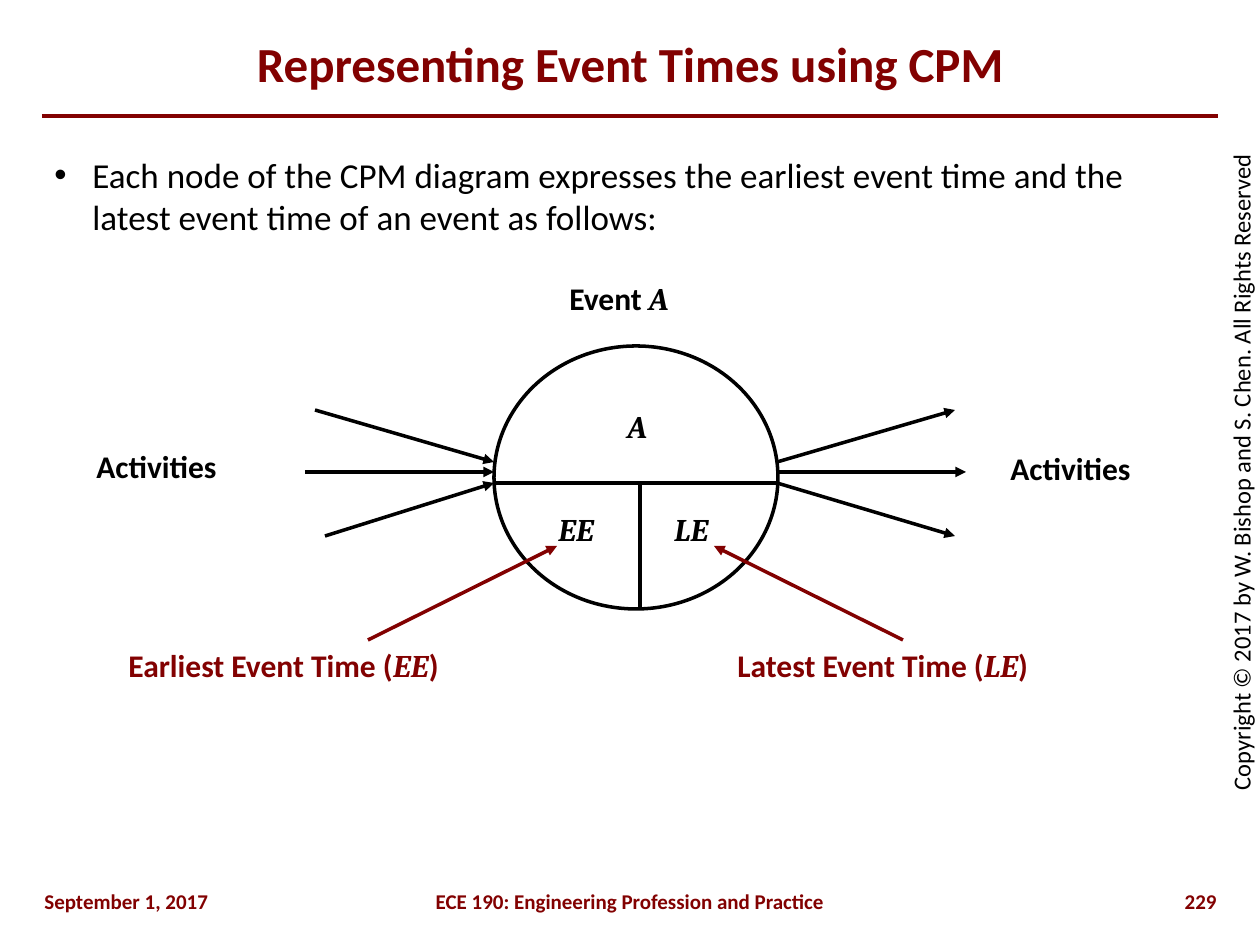
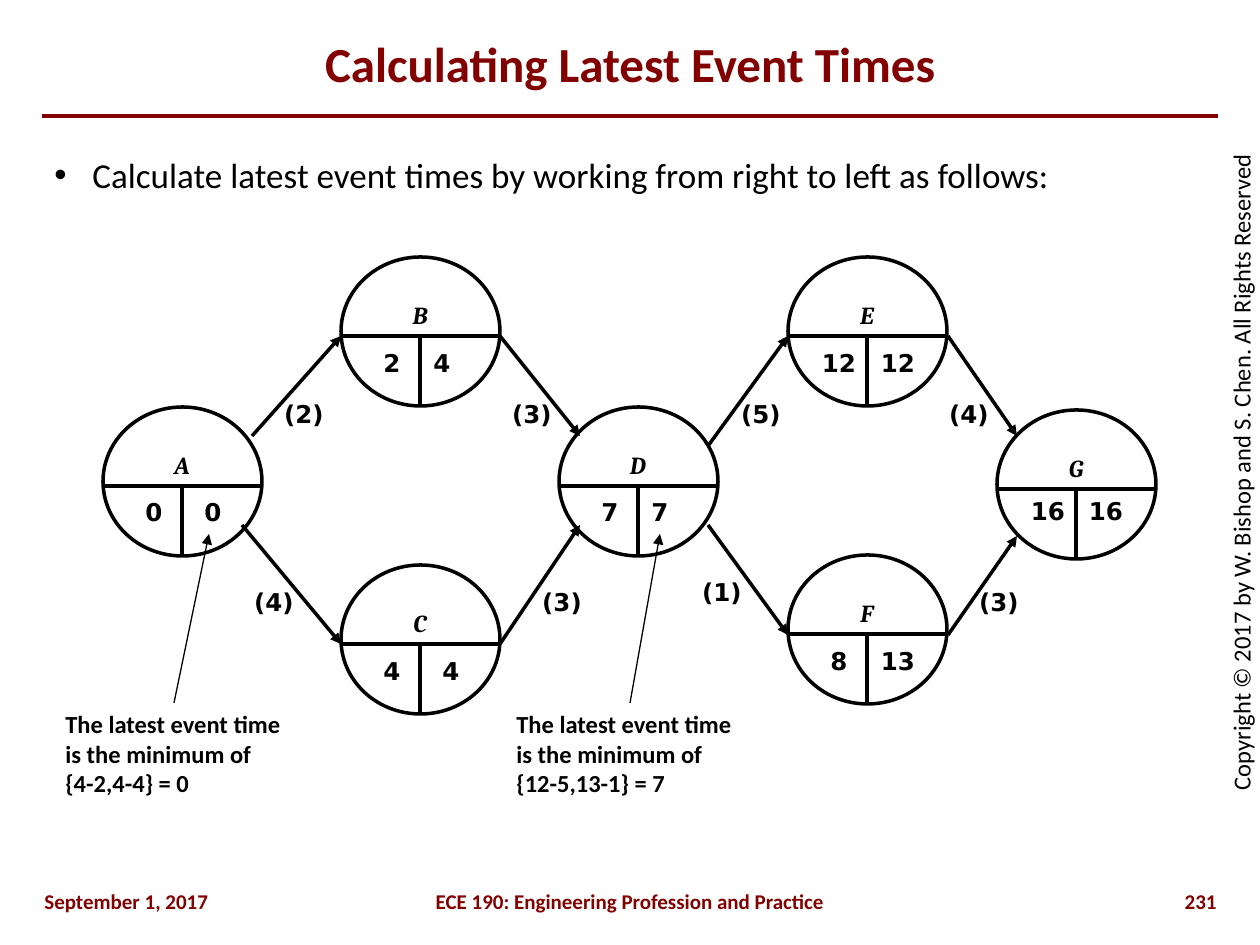
"""Build two slides on event times in CPM diagrams."""
from lxml.etree import SubElement
from pptx import Presentation
from pptx.dml.color import RGBColor
from pptx.enum.shapes import MSO_CONNECTOR as CONN, MSO_SHAPE as SHAPE
from pptx.enum.text import MSO_ANCHOR as ANCHOR, PP_ALIGN as AL
from pptx.oxml.ns import qn
from pptx.util import Pt

PX = 914400 / 126
MAROON = RGBColor(0x82, 0x01, 0x01)
BLACK = RGBColor(0, 0, 0)
SANS, SERIF, DIGITS = "Calibri", "Cambria", "DejaVu Sans"


def add_text(s, txt, x, y, w, h, size=18, color=BLACK, bold=True, font=SANS,
             align=AL.LEFT, anchor=ANCHOR.TOP, wrap=False, bullet=False):
    """Add a text box; parts between asterisks are set in italic serif."""
    sp = s.shapes.add_textbox(*(round(v * PX) for v in (x, y, w, h)))
    tf = sp.text_frame
    tf.word_wrap = wrap
    tf.vertical_anchor = anchor
    p = tf.paragraphs[0]
    p.alignment = align
    if bullet:
        pPr = p._p.get_or_add_pPr()
        pPr.set("marL", str(round(38 * PX)))
        pPr.set("indent", str(round(-38 * PX)))
        SubElement(pPr, qn("a:buFont"), typeface="Arial")
        SubElement(pPr, qn("a:buChar"), char="•")
    for i, part in enumerate(txt.split("*")):
        if part:
            r = p.add_run()
            r.text = part
            r.font.size = Pt(size)
            r.font.bold = bold
            r.font.italic = i % 2 == 1
            r.font.name = SERIF if i % 2 else font
            r.font.color.rgb = color
    return sp


def add_line(s, x1, y1, x2, y2, color=BLACK, width=2, arrow=False):
    """Add a straight line, with an arrowhead at its end on request."""
    c = s.shapes.add_connector(CONN.STRAIGHT, *(round(v * PX) for v in (x1, y1, x2, y2)))
    c.line.color.rgb = color
    c.line.width = Pt(width)
    spPr = c.element.spPr
    if arrow:
        SubElement(spPr.find(qn("a:ln")), qn("a:tailEnd"), type="triangle")
    SubElement(spPr, qn("a:effectLst"))
    return c


prs = Presentation()
prs.slide_width = round(1260 * PX)
prs.slide_height = round(945 * PX)

pages = [
    ("Representing Event Times using CPM", "229",
     "Each node of the CPM diagram expresses the earliest event time and the "
     "latest event time of an event as follows:"),
    ("Calculating Latest Event Times", "231",
     "Calculate latest event times by working from right to left as follows:"),
]
slides = []
for title, number, body in pages:
    s = prs.slides.add_slide(prs.slide_layouts[6])
    slides.append(s)
    add_line(s, 42, 116, 1218, 116, color=MAROON, width=2.25)
    sp = add_text(s, "Copyright © 2017 by W. Bishop and S. Chen. All Rights Reserved",
                  790, 451, 903, 43, size=14, bold=False, align=AL.CENTER, wrap=True)
    sp.rotation = 270
    add_text(s, title, 42, 21, 1176, 84, size=28, color=MAROON, align=AL.CENTER,
             anchor=ANCHOR.MIDDLE, wrap=True)
    add_text(s, body, 42, 147, 1172, 703, size=20, bold=False, wrap=True, bullet=True)
    for txt, x, w, align in [
        ("September 1, 2017", 32, 220, AL.LEFT),
        ("ECE 190: Engineering Profession and Practice", 210, 840, AL.CENTER),
        (number, 1071, 158, AL.RIGHT),
    ]:
        add_text(s, txt, x, 882, w, 32, size=12, color=MAROON, align=align, wrap=True)
notation, network = slides

NODE_W, NODE_H, NODE_CUT = 159, 149, 79
nodes = [
    ("A", 103, 407, "0", "0", 31, 84),
    ("B", 341, 257, "2", "4", 22, 85),
    ("C", 341, 565, "4", "4", 31, 85),
    ("D", 559, 407, "7", "7", 22, 84),
    ("E", 788, 257, "12", "12", 31, 85),
    ("F", 788, 555, "8", "13", 31, 85),
    ("G", 997, 410, "16", "16", 30, 80),
]

ovals = [(notation, 494, 346, 284, 263, 146, 137)]
ovals += [(network, x, y, NODE_W, NODE_H, NODE_CUT, NODE_CUT) for _, x, y, *_ in nodes]
for s, x, y, w, h, stem, cut in ovals:
    sp = s.shapes.add_shape(SHAPE.OVAL, *(round(v * PX) for v in (x, y, w, h)))
    sp.shadow.inherit = False
    sp.fill.background()
    sp.line.color.rgb = BLACK
    sp.line.width = Pt(2)
    add_line(s, x, y + cut, x + w, y + cut)
    add_line(s, x + stem, y + cut, x + stem, y + h)

for txt, x, y, w, color in [
    ("Event *A*", 557, 273, 125, BLACK),
    ("*A*", 615, 401, 47, BLACK),
    ("*EE*", 546, 504, 62, BLACK),
    ("*LE*", 662, 504, 60, BLACK),
    ("Activities", 84, 441, 146, BLACK),
    ("Activities", 998, 443, 146, BLACK),
    ("Earliest Event Time (*EE*)", 116, 640, 338, MAROON),
    ("Latest Event Time (*LE*)", 725, 640, 319, MAROON),
]:
    add_text(notation, txt, x, y, w, 50, color=color)

for x1, y1, x2, y2, color in [
    (305, 472, 494, 472, BLACK),
    (315, 410, 494, 462, BLACK),
    (325, 536, 494, 483, BLACK),
    (777, 472, 966, 472, BLACK),
    (777, 462, 955, 410, BLACK),
    (777, 483, 955, 536, BLACK),
    (368, 640, 557, 546, MAROON),
    (903, 640, 714, 546, MAROON),
]:
    add_line(notation, x1, y1, x2, y2, color=color, arrow=True)

for name, x, y, earliest, latest, latest_dx, times_dy in nodes:
    mid = x + NODE_CUT
    for txt, cx, top in [
        (f"*{name}*", mid, y + 37),
        (earliest, mid - 28, y + times_dy),
        (latest, mid + latest_dx, y + times_dy),
    ]:
        add_text(network, txt, cx - 30, top, 60, 42, size=14, font=DIGITS, align=AL.CENTER)

for x1, y1, x2, y2, duration, cx, top in [
    (252, 436, 341, 336, 2, 304, 393),
    (242, 525, 341, 644, 4, 274, 581),
    (500, 644, 580, 525, 3, 562, 581),
    (500, 336, 580, 436, 3, 532, 393),
    (708, 446, 788, 336, 5, 761, 393),
    (708, 525, 788, 635, 1, 722, 571),
    (948, 336, 1017, 436, 4, 969, 393),
    (948, 635, 1017, 536, 3, 999, 581),
]:
    add_line(network, x1, y1, x2, y2, arrow=True)
    add_text(network, f"({duration})", cx - 35, top, 70, 42, size=14, font=DIGITS,
             align=AL.CENTER)

for minimum, x, w, tip in [
    ("{4-2,4-4} = 0", 53, 242, 209),
    ("{12-5,13-1} = 7", 504, 252, 660),
]:
    sp = add_text(network, f"The latest event time is the minimum of {minimum}",
                  x, 703, w, 102, size=14, wrap=True)
    c = add_line(network, x + w / 2, 703, tip, 534, width=0.75, arrow=True)
    c.begin_connect(sp, 0)

prs.save("out.pptx")
